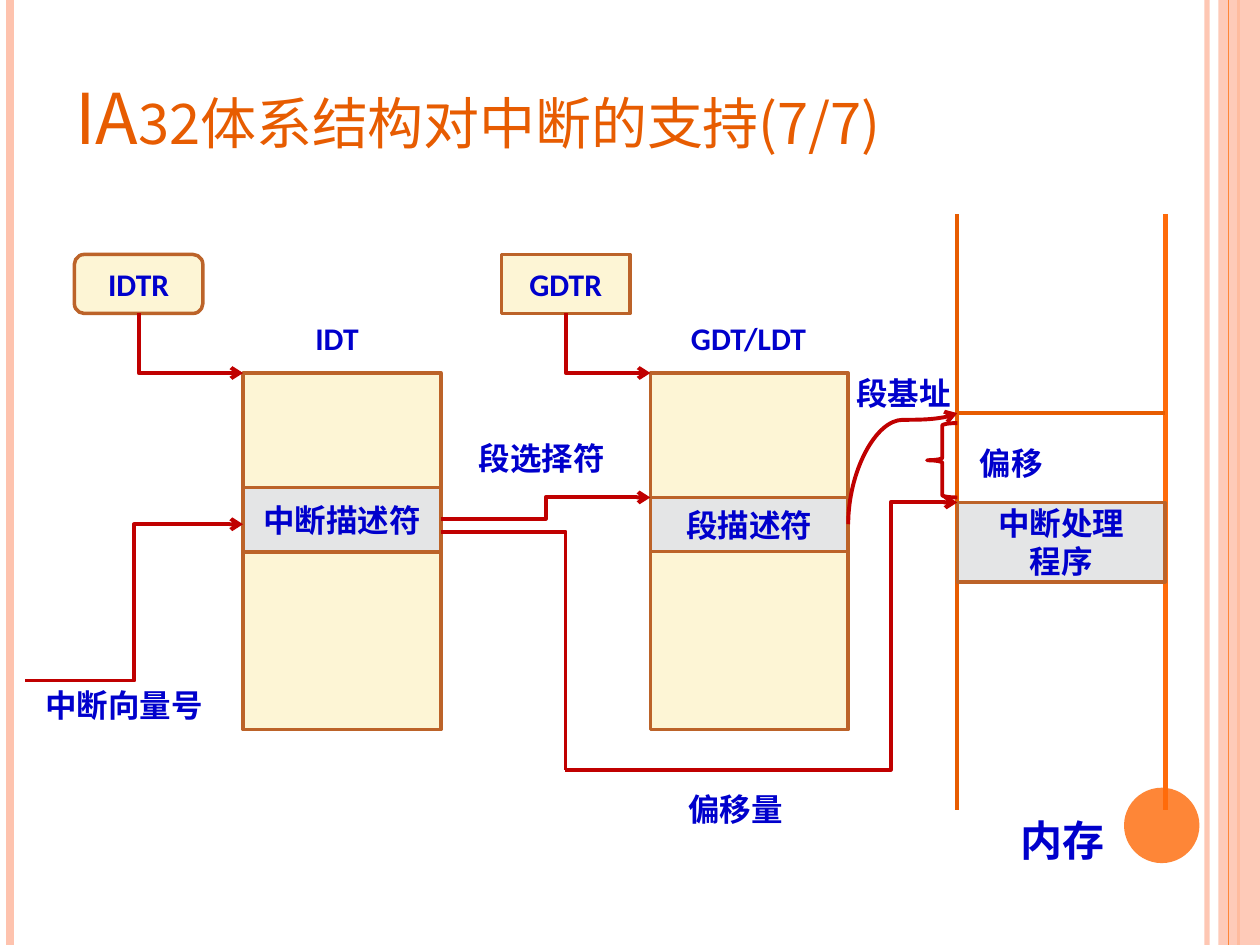
from dataclasses import dataclass
from typing import Optional

from lxml import etree
from pptx import Presentation
from pptx.dml.color import RGBColor
from pptx.enum import shapes, text
from pptx.oxml.ns import qn
from pptx.util import Cm, Pt

ORANGE = RGBColor(0xFE, 0x86, 0x37)
PEACH = RGBColor(0xFE, 0xC3, 0xAE)
RUST = RGBColor(0xE7, 0x5C, 0x01)
BRIGHT = RGBColor(0xFF, 0x6B, 0x0A)
BROWN = RGBColor(0xBC, 0x63, 0x29)
CREAM = RGBColor(0xFD, 0xF5, 0xD5)
GREY = RGBColor(0xE4, 0xE5, 0xE6)
BLUE = RGBColor(0x00, 0x00, 0xCC)
RED = RGBColor(0xC0, 0x00, 0x00)
CJK_FONT = "Noto Sans CJK SC"
SHAPE = shapes.MSO_SHAPE
LINK = shapes.MSO_CONNECTOR

# Shared positions in centimetres
PAGE_W, PAGE_H = 25.4, 19.05
REGISTER_Y, REGISTER_W, REGISTER_H = 5.13, 2.59, 1.19
REGISTER_BOTTOM = REGISTER_Y + REGISTER_H
IDTR_X, GDTR_X = 1.5, 10.11
IDT_X, GDT_X, TABLE_Y, TABLE_W, TABLE_H = 4.9, 13.11, 7.52, 3.99, 7.19
MEMORY_LEFT, MEMORY_RIGHT, MEMORY_TOP, MEMORY_BOTTOM = 19.3, 23.49, 4.32, 16.33
BASE_Y, HANDLER_Y, SEGMENT_Y = 8.33, 10.13, 10.03
OFFSET_X, OFFSET_Y = 11.4, 15.52


@dataclass
class Box:
    x: float
    y: float
    w: float
    h: float
    words: str = ""
    fill: Optional[RGBColor] = None
    line: Optional[RGBColor] = None
    kind: SHAPE = SHAPE.RECTANGLE
    line_pt: float = 2
    alpha: int = 100


@dataclass
class Label:
    words: str
    x: float
    y: float
    w: float = 3.4
    h: float = 1.19
    size: float = 18


@dataclass
class Wire:
    x1: float
    y1: float
    x2: float
    y2: float
    color: RGBColor = RED
    width: float = 2.25
    kind: LINK = LINK.STRAIGHT
    preset: str = ""
    bend: Optional[float] = None
    turn: int = 0
    flips: str = ""
    arrow: bool = False
    alpha: int = 100


def set_alpha(parent, percent: int) -> None:
    if percent < 100:
        color = next(parent.iter(qn("a:srgbClr")))
        etree.SubElement(color, qn("a:alpha"), val=str(percent * 1000))


def write(frame, words: str, *, size: float = 18, font: str = "Calibri",
          color: RGBColor = BLUE, bold: bool = True, small_caps: bool = False,
          align=text.PP_ALIGN.CENTER, anchor=text.MSO_ANCHOR.MIDDLE) -> None:
    frame.word_wrap = True
    frame.vertical_anchor = anchor
    for index, line in enumerate(words.split("\n")):
        para = frame.add_paragraph() if index else frame.paragraphs[0]
        para.alignment = align
        span = para.add_run()
        span.text = line
        span.font.size, span.font.bold, span.font.name = Pt(size), bold, font
        span.font.color.rgb = color
        props = span.font._element
        etree.SubElement(props, qn("a:ea"), typeface=CJK_FONT)
        if small_caps:
            props.set("cap", "small")


def draw_box(page, box: Box) -> None:
    shape = page.shapes.add_shape(box.kind, Cm(box.x), Cm(box.y), Cm(box.w), Cm(box.h))
    shape.shadow.inherit = False
    if box.fill is None:
        shape.fill.background()
    else:
        shape.fill.solid()
        shape.fill.fore_color.rgb = box.fill
        set_alpha(shape.element.spPr, box.alpha)
    if box.line is None:
        shape.line.fill.background()
    else:
        shape.line.color.rgb = box.line
        shape.line.width = Pt(box.line_pt)
    if box.words:
        write(shape.text_frame, box.words)


def draw_label(page, label: Label, **style) -> None:
    box = page.shapes.add_textbox(Cm(label.x), Cm(label.y), Cm(label.w), Cm(label.h))
    write(box.text_frame, label.words, size=label.size, **style)


def turn_wire(link, wire: Wire) -> None:
    """Start the route vertically: swap the frame about its centre and rotate it."""
    left, top, width, height = link.left, link.top, link.width, link.height
    link.left, link.top = left + (width - height) // 2, top + (height - width) // 2
    link.width, link.height = height, width
    frame = link.element.spPr.find(qn("a:xfrm"))
    frame.set("rot", str(wire.turn * 60000))
    frame.set("flipH", str(int("h" in wire.flips)))
    frame.set("flipV", str(int("v" in wire.flips)))


def draw_wire(page, wire: Wire) -> None:
    link = page.shapes.add_connector(
        wire.kind, Cm(wire.x1), Cm(wire.y1), Cm(wire.x2), Cm(wire.y2))
    link.line.color.rgb, link.line.width = wire.color, Pt(wire.width)
    props = link.element.spPr
    geometry = props.find(qn("a:prstGeom"))
    set_alpha(props, wire.alpha)
    if wire.preset:
        geometry.set("prst", wire.preset)
    if wire.bend is not None:
        etree.SubElement(geometry.find(qn("a:avLst")), qn("a:gd"),
                         name="adj1", fmla=f"val {round(wire.bend * 100000)}")
    if wire.turn:
        turn_wire(link, wire)
    if wire.arrow:
        etree.SubElement(props.find(qn("a:ln")), qn("a:tailEnd"), type="arrow")
    etree.SubElement(props, qn("a:effectLst"))


def stripe(x: float, color: RGBColor, width: float, alpha: int = 100) -> Wire:
    return Wire(x, 0, x, PAGE_H, color, width, alpha=alpha)


def elbow(x1: float, y1: float, x2: float, y2: float, **options) -> Wire:
    return Wire(x1, y1, x2, y2, kind=LINK.ELBOW, **options)


def register_wire(register_x: float, table_x: float) -> Wire:
    return elbow(register_x + REGISTER_W / 2, REGISTER_BOTTOM, table_x, TABLE_Y,
                 preset="bentConnector2", turn=270, flips="h", arrow=True)


def memory_wall(x: float, color: RGBColor, width: float) -> Wire:
    return Wire(x, MEMORY_TOP, x, MEMORY_BOTTOM, color, width)


ITEMS = [
    stripe(24.33, PEACH, 3, 93),
    stripe(0.2, PEACH, 4.5),
    stripe(24.97, ORANGE, 1.5),
    Box(24.56, 0, PAGE_W - 24.56, PAGE_H, fill=PEACH, alpha=87),
    stripe(24.77, ORANGE, 0.75),
    Box(22.66, 15.88, 1.52, 1.52, fill=ORANGE, kind=SHAPE.OVAL),
    Box(IDTR_X, REGISTER_Y, REGISTER_W, REGISTER_H, "IDTR", CREAM, BROWN,
        SHAPE.ROUNDED_RECTANGLE),
    Box(GDTR_X, REGISTER_Y, REGISTER_W, REGISTER_H, "GDTR", CREAM, BROWN),
    *(Box(x, TABLE_Y, TABLE_W, TABLE_H, "", CREAM, BROWN) for x in (IDT_X, GDT_X)),
    memory_wall(MEMORY_LEFT, RUST, 2.25),
    memory_wall(MEMORY_RIGHT, BRIGHT, 3),
    Box(IDT_X, 9.83, TABLE_W, 1.3, "中断描述符", GREY, BROWN),
    Box(GDT_X, SEGMENT_Y, TABLE_W, 1.09, "段描述符", GREY, BROWN),
    Box(MEMORY_LEFT, HANDLER_Y, MEMORY_RIGHT - MEMORY_LEFT, 1.6,
        "中断处理\n程序", GREY, BROWN),
    register_wire(IDTR_X, IDT_X),
    register_wire(GDTR_X, GDT_X),
    elbow(IDT_X + TABLE_W, 10.46, GDT_X, SEGMENT_Y, arrow=True),
    elbow(IDT_X + TABLE_W, 10.72, OFFSET_X, OFFSET_Y, preset="bentConnector2"),
    elbow(OFFSET_X, OFFSET_Y, MEMORY_LEFT, HANDLER_Y, bend=0.83, arrow=True),
    Wire(MEMORY_LEFT, BASE_Y, MEMORY_RIGHT, BASE_Y, RUST),
    Wire(GDT_X + TABLE_W, 10.57, MEMORY_LEFT, BASE_Y, kind=LINK.CURVE,
         bend=0.94, turn=90, flips="hv", arrow=True),
    elbow(0.51, 13.72, IDT_X, 10.57, arrow=True),
    Box(18.69, 8.53, 0.61, 1.5, line=RED, kind=SHAPE.LEFT_BRACE, line_pt=2.25),
    Label("IDT", 5.69, REGISTER_BOTTOM, 2.21, 0.99),
    Label("GDT/LDT", 13.49, REGISTER_BOTTOM, 3.2, 0.99),
    Label("中断向量号", 0.51, 13.72, TABLE_W, 0.99),
    Label("内存", 19.71, MEMORY_BOTTOM, size=24),
    Label("段基址", 16.51, 7.32),
    Label("偏移", 18.69, 8.74),
    Label("段选择符", 9.22, 8.64),
    Label("偏移量", 13.13, 15.72),
]
DRAW = {Box: draw_box, Label: draw_label, Wire: draw_wire}


def main() -> None:
    deck = Presentation()
    deck.slide_width, deck.slide_height = Cm(PAGE_W), Cm(PAGE_H)
    page = deck.slides.add_slide(deck.slide_layouts[6])
    for item in ITEMS:
        DRAW[type(item)](page, item)
    draw_label(page, Label("IA32体系结构对中断的支持(7/7)", 1.27, 0.76, 20.75, 2.57, 40),
               font=CJK_FONT, color=RUST, bold=False, small_caps=True,
               align=text.PP_ALIGN.LEFT, anchor=text.MSO_ANCHOR.BOTTOM)
    deck.save("out.pptx")


if __name__ == "__main__":
    main()
